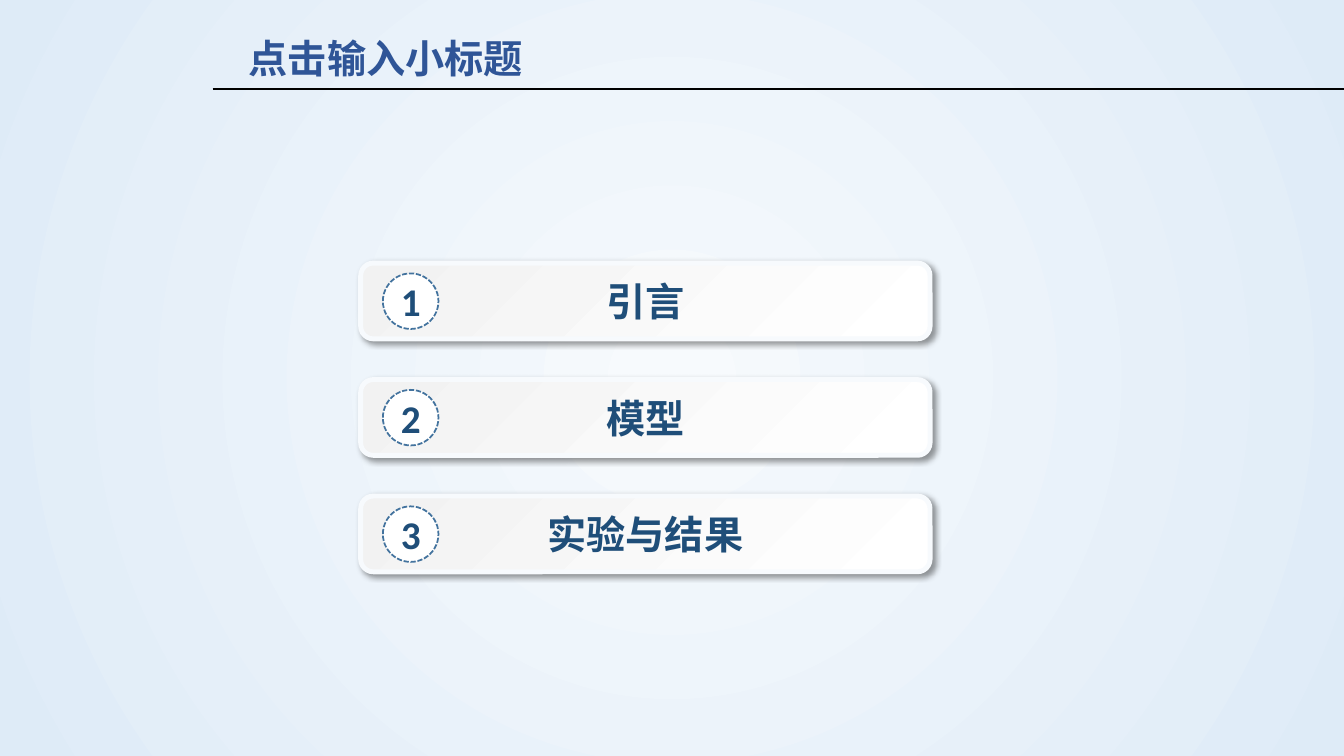
from typing import NamedTuple

from lxml.etree import SubElement
from pptx import Presentation
from pptx.dml.color import RGBColor
from pptx.enum.dml import MSO_LINE_DASH_STYLE as Dash
from pptx.enum.shapes import MSO_CONNECTOR as Connector, MSO_SHAPE as Shape
from pptx.enum.text import MSO_ANCHOR as Anchor, MSO_AUTO_SIZE as AutoSize, PP_ALIGN as Align
from pptx.oxml import parse_xml
from pptx.oxml.ns import nsdecls, qn
from pptx.util import Cm, Pt

COLORS = {
    "heading": "2F5597",
    "label": "1F4E79",
    "rule": "000000",
    "white": "FFFFFF",
    "bar_start": "F2F2F2",
    "bar_edge": "F7FAFD",
    "ring": "43739E",
    "page_center": "F7FAFD",
    "page_rim": "DEEBF7",
    "shadow": "000000",
}
CHINESE_FONT = "Noto Sans CJK SC"
DIGIT_FONT = "Calibri"
PAGE_WIDTH, PAGE_HEIGHT = 33.87, 19.05
FIRST_BAR_TOP, BAR_PITCH = 6.63, 2.935


class AgendaItem(NamedTuple):
    number: int
    title: str


AGENDA = [AgendaItem(1, "引言"), AgendaItem(2, "模型"), AgendaItem(3, "实验与结果")]


def color(name: str) -> RGBColor:
    return RGBColor.from_string(COLORS[name])


def set_gradient(fill, start: str, end: str) -> None:
    fill.gradient()
    for stop, name in zip(fill.gradient_stops, (start, end)):
        stop.color.rgb = color(name)


def write_text(box, text: str, font_name: str, color_name: str, align: Align) -> None:
    para = box.text_frame.paragraphs[0]
    para.text = text
    para.alignment = align
    font = para.font
    font.size = Pt(28)
    font.bold = True
    font.name = font_name
    font.color.rgb = color(color_name)
    SubElement(font._element, qn("a:ea"), typeface=font_name)


def paint_background(page) -> None:
    """Radial gradient, light in the middle of the page."""
    set_gradient(page.background.fill, "page_center", "page_rim")
    gradient = page._element.find(".//" + qn("a:gradFill"))
    gradient.remove(gradient.find(qn("a:lin")))
    gradient.append(parse_xml(
        f'<a:path {nsdecls("a")} path="circle">'
        '<a:fillToRect l="50000" t="50000" r="50000" b="50000"/></a:path>'))


def add_heading(page, text: str) -> None:
    rule = page.shapes.add_connector(
        Connector.STRAIGHT, Cm(5.36), Cm(2.24), Cm(PAGE_WIDTH), Cm(2.24))
    rule.line.color.rgb = color("rule")
    rule.line.width = Pt(1.25)
    SubElement(rule._element.spPr, qn("a:effectLst"))

    box = page.shapes.add_textbox(Cm(6.02), Cm(0.74), Cm(7.72), Cm(1.45))
    box.text_frame.word_wrap = True
    box.text_frame.auto_size = AutoSize.SHAPE_TO_FIT_TEXT
    write_text(box, text, CHINESE_FONT, "heading", Align.LEFT)


def add_drop_shadow(shape) -> None:
    shape.shadow.inherit = False
    effects = shape._element.spPr.find(qn("a:effectLst"))
    effects.append(parse_xml(
        f'<a:outerShdw {nsdecls("a")} blurRad="{Pt(4)}" dist="{Pt(3)}" dir="2700000" '
        f'algn="tl" rotWithShape="0"><a:srgbClr val="{COLORS["shadow"]}">'
        '<a:alpha val="40000"/></a:srgbClr></a:outerShdw>'))


def add_agenda_item(page, item: AgendaItem, top: float) -> None:
    group = page.shapes.add_group_shape()

    bar = group.shapes.add_shape(
        Shape.ROUNDED_RECTANGLE, Cm(9.09), Cm(top), Cm(14.35), Cm(1.91))
    set_gradient(bar.fill, "bar_start", "white")
    bar.fill.gradient_angle = 315
    bar.line.color.rgb = color("bar_edge")
    bar.line.width = Pt(3.5)
    add_drop_shadow(bar)
    write_text(bar, item.title, CHINESE_FONT, "label", Align.CENTER)

    badge = group.shapes.add_shape(
        Shape.OVAL, Cm(9.65), Cm(top + 0.26), Cm(1.4), Cm(1.4))
    badge.fill.solid()
    badge.fill.fore_color.rgb = color("white")
    badge.line.color.rgb = color("ring")
    badge.line.width = Pt(1.25)
    badge.line.dash_style = Dash.SQUARE_DOT
    badge.shadow.inherit = False
    write_text(badge, str(item.number), DIGIT_FONT, "label", Align.CENTER)

    for box in (bar, badge):
        box.text_frame.vertical_anchor = Anchor.MIDDLE


def main() -> None:
    deck = Presentation()
    deck.slide_width, deck.slide_height = Cm(PAGE_WIDTH), Cm(PAGE_HEIGHT)
    page = deck.slides.add_slide(deck.slide_layouts[6])
    paint_background(page)
    add_heading(page, "点击输入小标题")
    for index, item in enumerate(AGENDA):
        add_agenda_item(page, item, FIRST_BAR_TOP + index * BAR_PITCH)
    deck.save("out.pptx")


if __name__ == "__main__":
    main()
